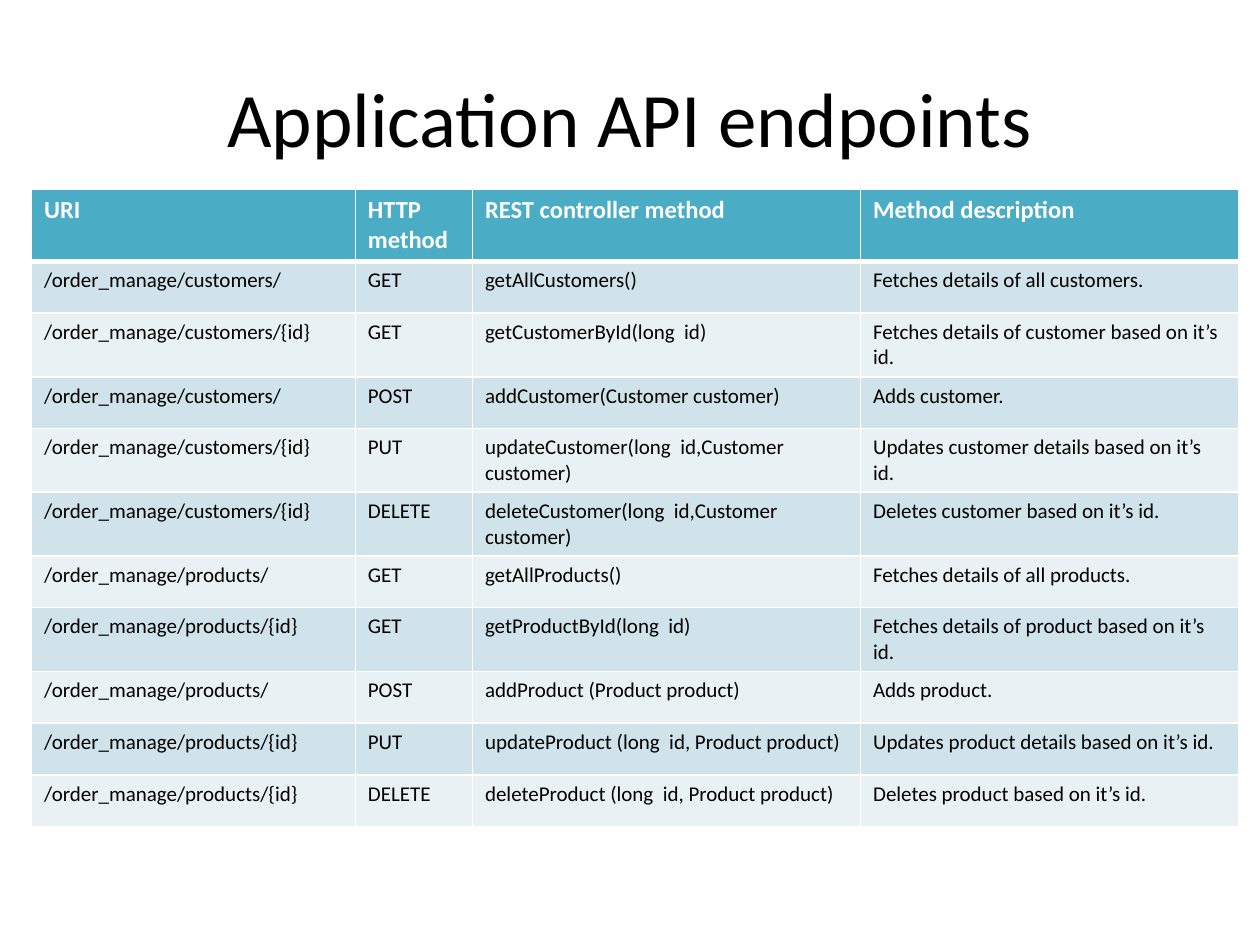
from lxml import etree
from pptx import Presentation
from pptx.dml.color import RGBColor
from pptx.enum.text import MSO_ANCHOR, PP_ALIGN
from pptx.oxml.ns import qn
from pptx.util import Inches, Pt

MIDDLE = MSO_ANCHOR.MIDDLE
CENTER = PP_ALIGN.CENTER
FONT = "Calibri"
BLACK, WHITE = "000000", "FFFFFF"
HEADER_FILL = "4BACC6"
BAND_FILLS = ("D0E3EA", "E9F1F5")
COLUMN_WIDTHS = (2.57, 0.93, 3.08, 3)
ROW_HEIGHT = 0.41
HEADERS = ("URI", "HTTP method", "REST controller method", "Method description")
CUSTOMERS, PRODUCTS = "/order_manage/customers/", "/order_manage/products/"
ENDPOINTS = [
    (CUSTOMERS, "GET", "getAllCustomers()", "Fetches details of all customers."),
    (CUSTOMERS + "{id}", "GET", "getCustomerById(long  id)",
     "Fetches details of customer based on it’s id."),
    (CUSTOMERS, "POST", "addCustomer(Customer customer)", "Adds customer."),
    (CUSTOMERS + "{id}", "PUT", "updateCustomer(long  id,Customer customer)",
     "Updates customer details based on it’s id."),
    (CUSTOMERS + "{id}", "DELETE", "deleteCustomer(long  id,Customer customer)",
     "Deletes customer based on it’s id."),
    (PRODUCTS, "GET", "getAllProducts()", "Fetches details of all products."),
    (PRODUCTS + "{id}", "GET", "getProductById(long  id)",
     "Fetches details of product based on it’s id."),
    (PRODUCTS, "POST", "addProduct (Product product)", "Adds product."),
    (PRODUCTS + "{id}", "PUT", "updateProduct (long  id, Product product)",
     "Updates product details based on it’s id."),
    (PRODUCTS + "{id}", "DELETE", "deleteProduct (long  id, Product product)",
     "Deletes product based on it’s id."),
]


def rgb(value):
    """Turn a hex string into a colour."""
    return RGBColor.from_string(value)


def format_text(tf, size, color, bold=False):
    """Apply one font to every run of a text frame."""
    for p in tf.paragraphs:
        for r in p.runs:
            r.font.name = FONT
            r.font.size = Pt(size)
            r.font.bold = bold
            r.font.color.rgb = rgb(color)


def set_borders(cell, color, widths):
    """Draw the left, right, top and bottom borders of a cell."""
    tc_pr = cell._tc.get_or_add_tcPr()
    for side, width in zip("LRTB", widths):
        ln = etree.SubElement(tc_pr, qn(f"a:ln{side}"), w=str(Pt(width)))
        fill = etree.SubElement(ln, qn("a:solidFill"))
        etree.SubElement(fill, qn("a:srgbClr"), val=color)


def add_title(slide, text, left, top, width, height):
    """Fill and place the title placeholder."""
    s = slide.shapes.title
    s.left, s.top, s.width, s.height = map(Inches, (left, top, width, height))
    tf = s.text_frame
    tf.text = text
    tf.vertical_anchor = MIDDLE
    tf.paragraphs[0].alignment = CENTER
    format_text(tf, 44, BLACK)


def add_endpoint_table(slide, left, top, width, height):
    """Place the banded table of endpoints."""
    rows = [HEADERS] + ENDPOINTS
    table = slide.shapes.add_table(
        len(rows), len(HEADERS), *map(Inches, (left, top, width, height))).table
    for column, column_width in zip(table.columns, COLUMN_WIDTHS):
        column.width = Inches(column_width)
    for i, values in enumerate(rows):
        table.rows[i].height = Inches(ROW_HEIGHT)
        header = i == 0
        fill = HEADER_FILL if header else BAND_FILLS[(i - 1) % 2]
        size, color = (14, WHITE) if header else (12, BLACK)
        widths = (1, 1, 3 if i == 1 else 1, 3 if header else 1)
        for j, value in enumerate(values):
            cell = table.cell(i, j)
            cell.text_frame.text = value
            format_text(cell.text_frame, size, color, header)
            set_borders(cell, WHITE, widths)
            cell.fill.solid()
            cell.fill.fore_color.rgb = rgb(fill)


def main():
    """Build the slide and save it."""
    prs = Presentation()
    prs.slide_width, prs.slide_height = Inches(10), Inches(7.5)
    slide = prs.slides.add_slide(prs.slide_layouts[5])
    add_title(slide, "Application API endpoints", 0.5, 0.3, 9, 1.25)
    add_endpoint_table(slide, 0.25, 1.5, sum(COLUMN_WIDTHS),
                       ROW_HEIGHT * (len(ENDPOINTS) + 1))
    prs.save("out.pptx")


if __name__ == "__main__":
    main()
